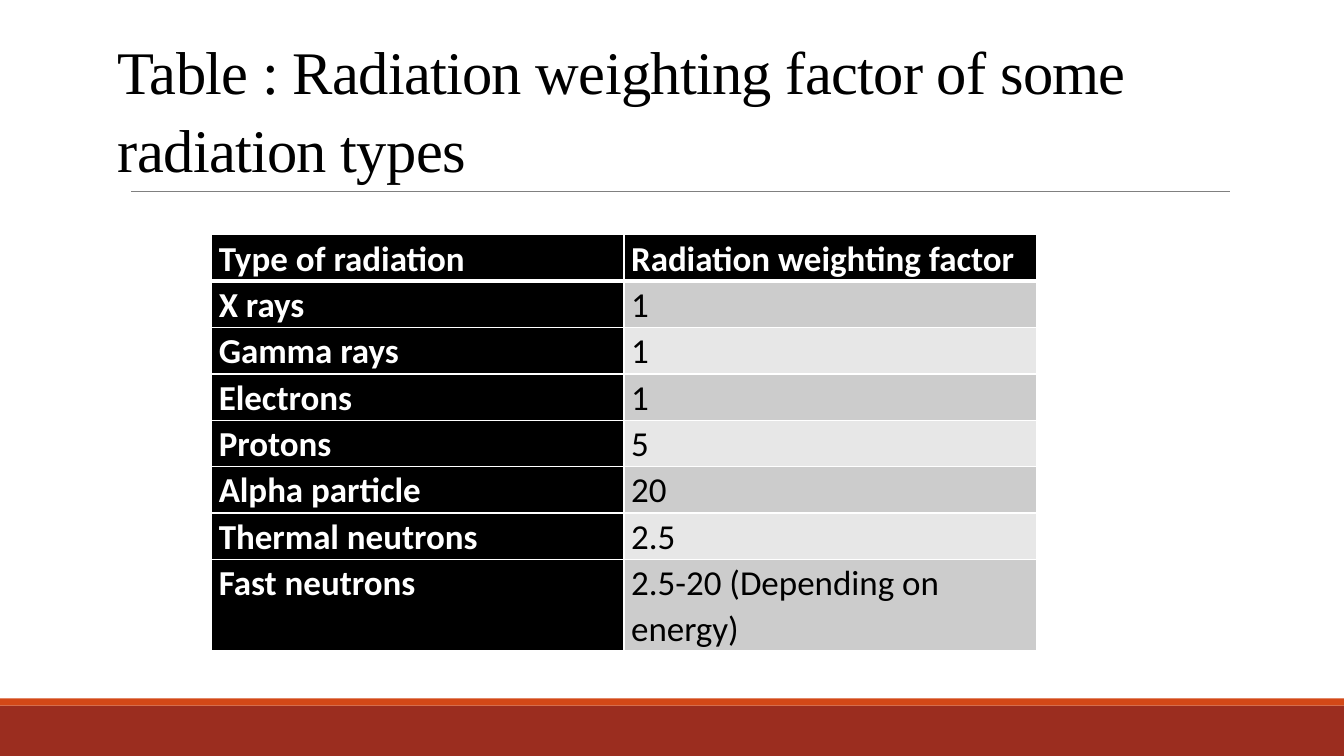
from lxml import etree
from pptx import Presentation
from pptx.dml.color import RGBColor
from pptx.enum.shapes import MSO_CONNECTOR, MSO_SHAPE
from pptx.enum.text import MSO_ANCHOR, MSO_AUTO_SIZE, PP_ALIGN
from pptx.oxml.ns import qn
from pptx.util import Inches, Pt

LINE, RECT = MSO_CONNECTOR.STRAIGHT, MSO_SHAPE.RECTANGLE
BOTTOM, LEFT, FIXED = MSO_ANCHOR.BOTTOM, PP_ALIGN.LEFT, MSO_AUTO_SIZE.NONE

TITLE = "Table : Radiation weighting factor of some radiation types"
ROWS = [
    ("Type of radiation", "Radiation weighting factor"),
    ("X rays", "1"),
    ("Gamma rays", "1"),
    ("Electrons", "1"),
    ("Protons", "5"),
    ("Alpha particle", "20"),
    ("Thermal neutrons", "2.5"),
    ("Fast neutrons", "2.5-20 (Depending on energy)"),
]
BLACK, WHITE = "000000", "FFFFFF"
BANDS = ("E7E7E7", "CCCCCC")
FOOTER = [(7, 0.5, "9B2D1F"), (6.93, 0.07, "D34817")]  # top, height, colour
WIDE, HIGH = 13.33, 7.5
COL, ROW, LAST = 4.09, 0.46, 0.91
SPACING = 1.07
HEAD = {"name": "Times New Roman", "size": Pt(43.2), "bold": False}
BODY = {"name": "Calibri", "size": Pt(25)}
INSETS = {"margin_left": Inches(0.07), "margin_right": Inches(0.07),
          "margin_top": 0, "margin_bottom": 0}


def rgb(code):
    return RGBColor.from_string(code)


def apply(target, values):
    for key, value in values.items():
        setattr(target, key, value)


def write(frame, text, color, font):
    para = frame.paragraphs[0]
    apply(para, {"alignment": LEFT, "line_spacing": SPACING})
    run = para.add_run()
    run.text = text
    apply(run.font, font)
    run.font.color.rgb = rgb(color)
    return run


def paint(shape, color):
    shape.fill.solid()
    shape.fill.fore_color.rgb = rgb(color)


def edge(cell, widths):
    """Give the cell white borders, widths in points by side."""
    props = cell._tc.get_or_add_tcPr()
    for spot, (side, width) in enumerate(widths.items()):
        line = etree.Element(qn("a:ln" + side), w=str(Pt(width)))
        fill = etree.SubElement(line, qn("a:solidFill"))
        etree.SubElement(fill, qn("a:srgbClr"), val=WHITE)
        props.insert(spot, line)


def add_frame(slide):
    for top, height, color in FOOTER:
        bar = slide.shapes.add_shape(
            RECT, 0, Inches(top), Inches(WIDE), Inches(height))
        bar.shadow.inherit = False
        paint(bar, color)
        bar.line.fill.background()
    rule = slide.shapes.add_connector(
        LINE, Inches(1.3), Inches(1.9), Inches(12.2), Inches(1.9))
    rule.line.color.rgb = rgb("808080")
    rule.line.width = Pt(0.5)
    etree.SubElement(rule._element.spPr, qn("a:effectLst"))


def add_title(slide):
    title = slide.shapes.title
    apply(title, {"left": Inches(1.07), "top": Inches(0.29),
                  "width": Inches(11), "height": Inches(1.59)})
    frame = title.text_frame
    apply(frame, {"word_wrap": True, "auto_size": FIXED,
                  "vertical_anchor": BOTTOM})
    run = write(frame, TITLE, BLACK, HEAD)
    run._r.get_or_add_rPr().set("spc", "-50")


def add_factors(slide):
    tall = ROW * (len(ROWS) - 1) + LAST
    table = slide.shapes.add_table(
        len(ROWS), 2, Inches(2.1), Inches(2.33),
        Inches(2 * COL), Inches(tall)).table
    for col in table.columns:
        col.width = Inches(COL)
    for r, texts in enumerate(ROWS):
        table.rows[r].height = Inches(LAST if r == len(ROWS) - 1 else ROW)
        for c, text in enumerate(texts):
            cell = table.cell(r, c)
            dark = r == 0 or c == 0
            apply(cell, INSETS)
            paint(cell, BLACK if dark else BANDS[r % 2])
            edge(cell, {"L": 1, "R": 1, "T": 3 if r == 1 else 1,
                        "B": 3 if r == 0 else 1})
            write(cell.text_frame, text, WHITE if dark else BLACK,
                  {**BODY, "bold": dark})


def main():
    deck = Presentation()
    apply(deck, {"slide_width": Inches(WIDE), "slide_height": Inches(HIGH)})
    slide = deck.slides.add_slide(deck.slide_layouts[5])
    add_frame(slide)
    add_title(slide)
    add_factors(slide)
    deck.save("out.pptx")


if __name__ == "__main__":
    main()
